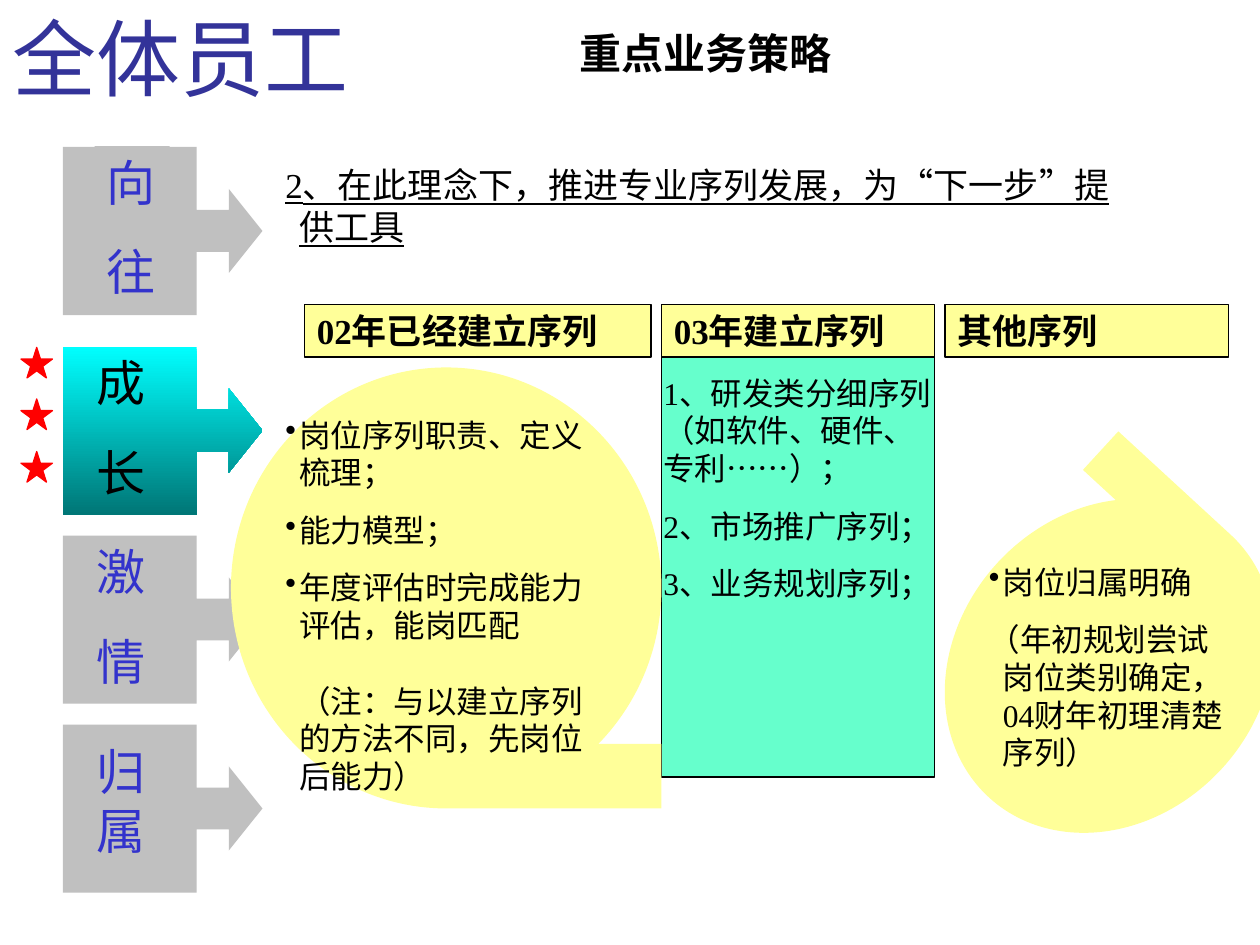
from dataclasses import dataclass

from lxml.etree import SubElement
from pptx import Presentation
from pptx.dml.color import RGBColor
from pptx.enum.shapes import MSO_SHAPE
from pptx.enum.text import MSO_ANCHOR, PP_ALIGN
from pptx.oxml.ns import qn
from pptx.util import Pt


@dataclass(frozen=True)
class Theme:
    title: str = "333399"
    label: str = "3333CC"
    ink: str = "000000"
    gray: str = "C0C0C0"
    cyan: str = "00FFFF"
    teal: str = "007676"
    star: str = "FF0000"
    yellow: str = "FFFF99"
    mint: str = "66FFCC"
    title_font: str = "Cabin"
    font: str = "Times New Roman"
    title_size: int = 48
    label_size: int = 28
    heading_size: int = 24
    lead_size: int = 20
    body_size: int = 18


theme = Theme()
prs = Presentation()
prs.slide_width, prs.slide_height = Pt(720), Pt(540)
slide = prs.slides.add_slide(prs.slide_layouts[6])


def add_block(preset, box, fill, line=None):
    block = slide.shapes.add_shape(preset, *map(Pt, box))
    block.shadow.inherit = False
    block.fill.solid()
    block.fill.fore_color.rgb = RGBColor.from_string(fill)
    if line:
        block.line.color.rgb = RGBColor.from_string(line)
        block.line.width = Pt(0.75)
    else:
        block.line.fill.background()
    return block


def write(holder, lines, size, color=theme.ink, name=theme.font, gap=0,
          bold=False, underline=False, anchor=MSO_ANCHOR.TOP):
    """Write lines; each is a text or (text, left margin, first indent, bullet)."""
    frame = holder.text_frame
    frame.word_wrap = True
    frame.vertical_anchor = anchor
    for i, line in enumerate(lines):
        text, margin, indent, bullet = (line, 0, 0, False) if isinstance(line, str) else line
        paragraph = frame.paragraphs[0] if i == 0 else frame.add_paragraph()
        paragraph.text = text
        paragraph.alignment = PP_ALIGN.LEFT
        if i:
            paragraph.space_before = Pt(gap)
        properties = paragraph._p.get_or_add_pPr()
        properties.set("marL", str(Pt(margin)))
        properties.set("indent", str(Pt(indent)))
        if bullet:
            SubElement(properties, qn("a:buChar")).set("char", "•")
        font = paragraph.font
        font.name, font.size = name, Pt(size)
        font.bold, font.underline = bold, underline
        font.color.rgb = RGBColor.from_string(color)
    return frame


# Title
title = slide.shapes.add_textbox(Pt(0), Pt(0), Pt(698), Pt(44))
write(title, ["全体员工"], theme.title_size, theme.title, theme.title_font)

# Four values: callout arrows, the second one highlighted
callouts = []
for top in (84, 198, 306, 414):
    callout = add_block(MSO_SHAPE.RIGHT_ARROW_CALLOUT, (36, top, 114, 96), theme.gray)
    for i, share in enumerate((0.25, 0.25, 0.2, 0.67)):
        callout.adjustments[i] = share
    callouts.append(callout)

growth_fill = callouts[1].fill
growth_fill.gradient()
growth_fill.gradient_angle = 270
for stop, color, position in zip(growth_fill.gradient_stops, (theme.cyan, theme.teal), (0, 1)):
    stop.color.rgb = RGBColor.from_string(color)
    stop.position = position

# Names of the values
longing = add_block(MSO_SHAPE.RECTANGLE, (54, 83.5, 43, 92), theme.gray)
write(longing, ["向", "往"], theme.label_size, theme.label, gap=17.5,
      anchor=MSO_ANCHOR.MIDDLE)
for top, words, color in (
    (198, ["成", "长"], theme.ink),
    (306, ["激", "情"], theme.label),
    (420, ["归属"], theme.label),
):
    value = slide.shapes.add_textbox(Pt(48), Pt(top), Pt(54), Pt(92))
    write(value, words, theme.label_size, color, gap=17.5)

# Stars beside the highlighted value
for top in (198.5, 228, 258):
    add_block(MSO_SHAPE.STAR_5_POINT, (12, top, 18, 17.5), theme.star, theme.star)

# Heading and lead sentence
heading = slide.shapes.add_textbox(Pt(324), Pt(0), Pt(486), Pt(60))
write(heading, ["重点业务策略"], theme.heading_size, bold=True, anchor=MSO_ANCHOR.MIDDLE)
lead = slide.shapes.add_textbox(Pt(156), Pt(90), Pt(498), Pt(56))
write(lead, [("2、在此理念下，推进专业序列发展，为“下一步”提供工具", 8, -8, False)],
      theme.lead_size, underline=True)

# Column headers
for left, width, text in (
    (174, 198, "02年已经建立序列"),
    (378, 156, "03年建立序列"),
    (540, 162, "其他序列"),
):
    header = add_block(MSO_SHAPE.RECTANGLE, (left, 174, width, 30), theme.yellow, theme.ink)
    write(header, [text], theme.lead_size, bold=True, anchor=MSO_ANCHOR.MIDDLE)

# Column backgrounds
add_block(MSO_SHAPE.RECTANGLE, (378, 204, 156, 240), theme.mint, theme.ink)
add_block(MSO_SHAPE.FLOWCHART_SEQUENTIAL_ACCESS_STORAGE, (132, 210, 246, 252), theme.yellow)
other_tape = add_block(MSO_SHAPE.FLOWCHART_SEQUENTIAL_ACCESS_STORAGE,
                       (547, 278.5, 174, 204), theme.yellow)
other_tape.rotation = 222.6

# Column texts
established = slide.shapes.add_textbox(Pt(156), Pt(234), Pt(192), Pt(225))
established_text = write(established, [
    ("岗位序列职责、定义梳理；", 8, -8, True),
    ("能力模型；", 8, -8, True),
    ("年度评估时完成能力评估，能岗匹配", 8, -8, True),
    ("（注：与以建立序列的方法不同，先岗位后能力）", 8, 0, False),
], theme.body_size, gap=11.2)
established_text.paragraphs[-1].space_before = Pt(21.6)

planned = slide.shapes.add_textbox(Pt(372), Pt(210), Pt(168), Pt(138))
write(planned, [
    "1、研发类分细序列（如软件、硬件、专利……）；",
    "2、市场推广序列；",
    "3、业务规划序列；",
], theme.body_size, gap=11.2)

others = slide.shapes.add_textbox(Pt(558), Pt(318), Pt(150), Pt(127))
write(others, [
    ("岗位归属明确", 8, -8, True),
    ("（年初规划尝试岗位类别确定，04财年初理清楚序列）", 8, -8, False),
], theme.body_size, gap=11.2)

prs.save("out.pptx")
